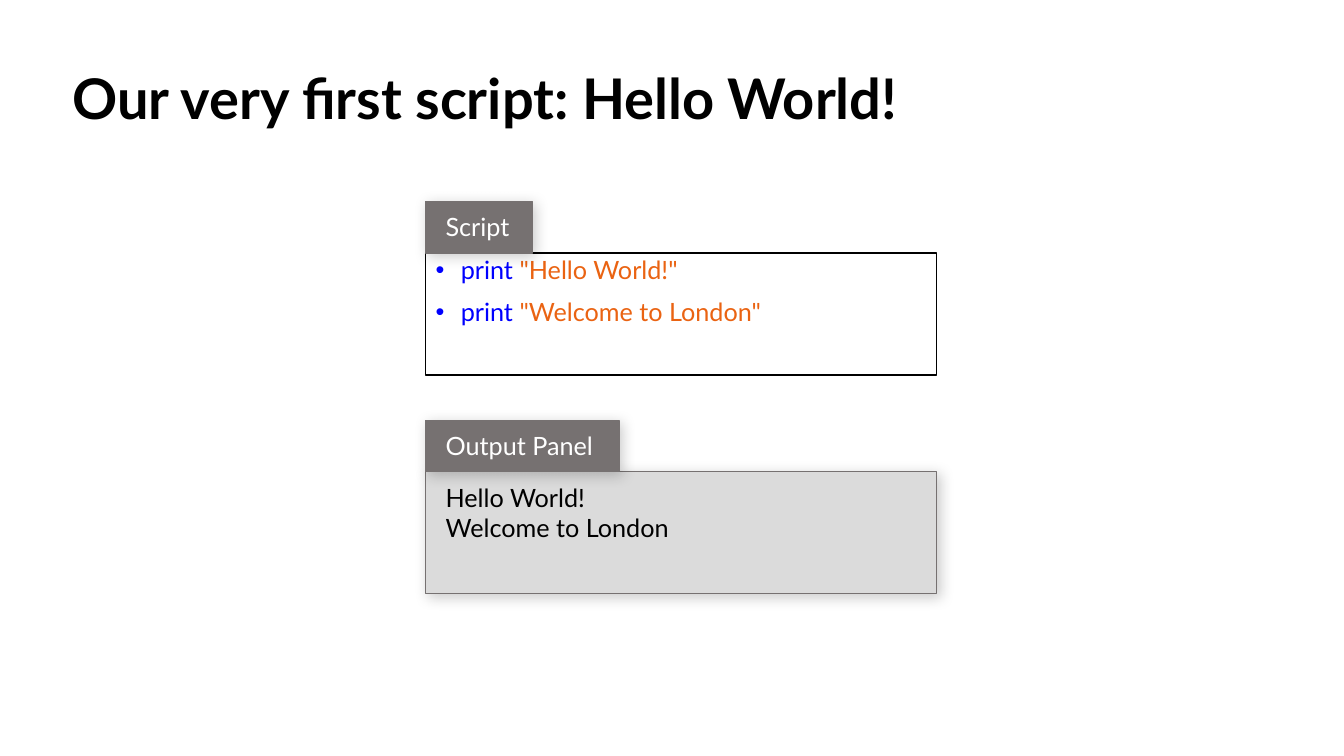
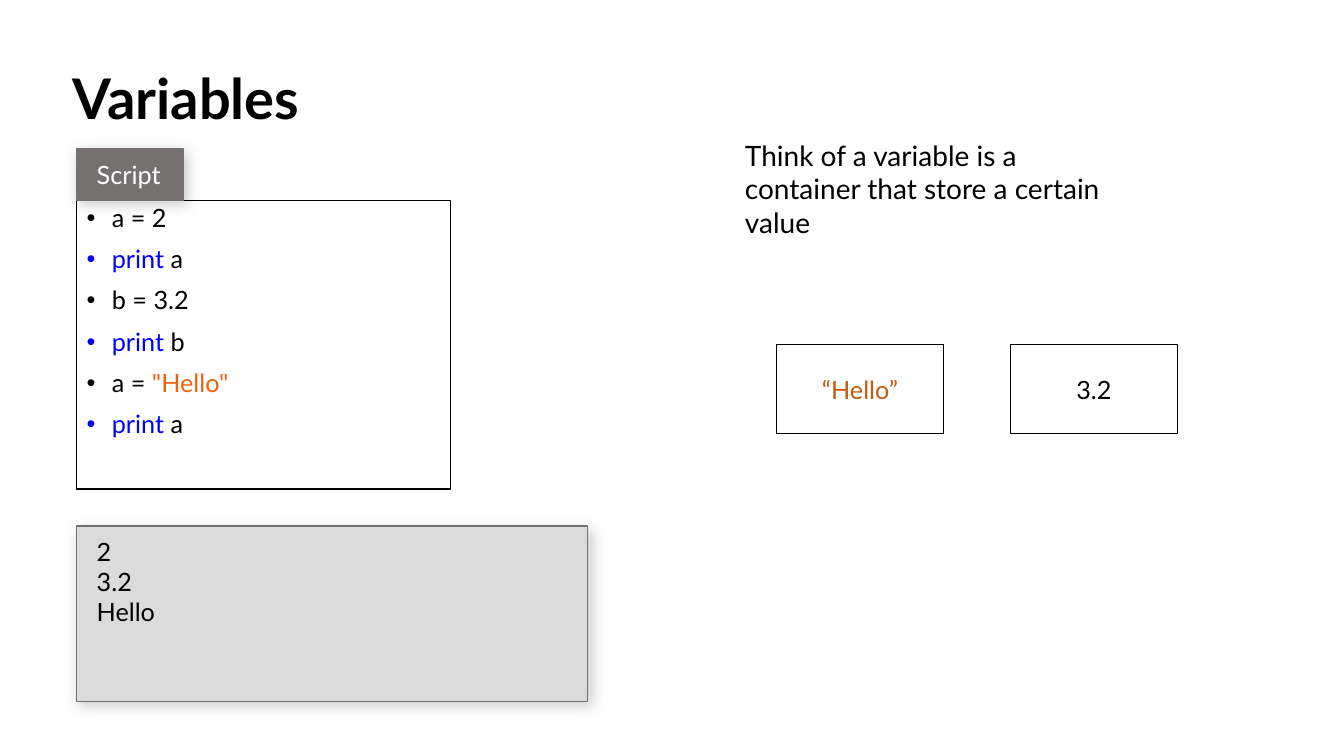
from pptx import Presentation
from pptx.dml.color import RGBColor
from pptx.enum.shapes import MSO_SHAPE
from pptx.enum.text import MSO_ANCHOR, MSO_AUTO_SIZE, PP_ALIGN
from pptx.oxml import parse_xml
from pptx.oxml.ns import nsdecls, qn
from pptx.util import Pt

RECT = MSO_SHAPE.RECTANGLE
TOP, MIDDLE = MSO_ANCHOR.TOP, MSO_ANCHOR.MIDDLE
LEFT, CENTER = PP_ALIGN.LEFT, PP_ALIGN.CENTER
FIXED = MSO_AUTO_SIZE.NONE

PX = 9144  # 100 px to the inch
FONT = "Lato"
COLORS = {
    "black": "000000",
    "white": "FFFFFF",
    "gray": "767171",
    "pale": "DBDBDB",
    "key": "0000FF",
    "string": "EA6312",
    "value": "C55A11",
}
TAB_H = 51
PANEL_W = 507
INSET = (10, 5)
WIDE = (20, 10)


def rgb(name):
    return RGBColor.from_string(COLORS[name])


def place(shape, box):
    shape.left, shape.top, shape.width, shape.height = (n * PX for n in box)


def add_bullet(para):
    props = para._p.get_or_add_pPr()
    props.set("marL", str(25 * PX))
    props.set("indent", str(-25 * PX))
    for tag in ('buFont %s typeface="Arial"', 'buChar %s char="•"'):
        props.append(parse_xml(f"<a:{tag % nsdecls('a')}/>"))


def write(shape, lines, size=18, color="black", bold=False, align=LEFT,
          anchor=TOP, inset=INSET, bullets=False):
    """Fill a shape with lines, each a string or a list of (text, color) runs."""
    frame = shape.text_frame
    frame.word_wrap = True
    frame.auto_size = FIXED
    frame.vertical_anchor = anchor
    frame.margin_left = frame.margin_right = inset[0] * PX
    frame.margin_top = frame.margin_bottom = inset[1] * PX
    for i, line in enumerate(lines):
        para = frame.add_paragraph() if i else frame.paragraphs[0]
        para.alignment = align
        para.space_before = Pt(10 if bullets and i else 0)
        if bullets:
            para.line_spacing = 0.9
            add_bullet(para)
        for text, tint in [(line, color)] if isinstance(line, str) else line:
            run = para.add_run()
            run.text = text
            font = run.font
            font.name, font.size, font.bold = FONT, Pt(size), bold
            font.color.rgb = rgb(tint)


def paint(shape, fill, line):
    if fill:
        shape.fill.solid()
        shape.fill.fore_color.rgb = rgb(fill)
    else:
        shape.fill.background()
    shape.line.color.rgb = rgb(line)
    shape.line.width = Pt(1)
    shape.shadow.inherit = False


def add_shadow(shape):
    effects = shape._element.spPr.find(qn("a:effectLst"))
    effects.append(parse_xml(
        f'<a:outerShdw {nsdecls("a")} blurRad="{Pt(10)}" dist="{Pt(3)}" '
        f'dir="2700000" algn="tl" rotWithShape="0">'
        f'<a:srgbClr val="{COLORS["black"]}"><a:alpha val="20000"/></a:srgbClr>'
        f'</a:outerShdw>'))


def add_box(slide, box, lines, fill=None, line="black", shadow=False, **style):
    shape = slide.shapes.add_shape(RECT, *(n * PX for n in box))
    paint(shape, fill, line)
    if shadow:
        add_shadow(shape)
    write(shape, lines, **style)


def add_tab(slide, left, bottom, width, label):
    """Label that sits on the upper left corner of a panel."""
    add_box(slide, (left, bottom - TAB_H, width, TAB_H), [label], fill="gray",
            line="gray", shadow=True, color="white", inset=WIDE)


def add_script(slide, box, lines):
    body = slide.placeholders[1]
    place(body, box)
    paint(body, "white", "black")
    write(body, lines, bullets=True)
    add_tab(slide, box[0], box[1], 106, "Script")


def add_output(slide, left, top, height, lines):
    add_box(slide, (left, top, PANEL_W, height), lines, fill="pale",
            line="gray", shadow=True, inset=WIDE)


def add_note(slide, box, text):
    note = slide.shapes.add_textbox(*(n * PX for n in box))
    write(note, [text], size=20)


def add_slide(deck, title):
    slide = deck.slides.add_slide(deck.slide_layouts[1])
    place(slide.shapes.title, (62, 58, 1210, 77))
    write(slide.shapes.title, [title], size=40, bold=True)
    return slide


def show(name):
    return [("print ", "key"), (name, "black")]


def build_hello(deck):
    slide = add_slide(deck, "Our very first script: Hello World!")
    left, top, height = 422, 468, 121
    words = ["Hello World!", "Welcome to London"]
    add_script(slide, (left, 251, PANEL_W, height),
               [[("print ", "key"), (f'"{word}"', "string")] for word in words])
    add_output(slide, left, top, height, words)
    add_tab(slide, left, top, 192, "Output Panel")


def build_vars(deck):
    slide = add_slide(deck, "Variables")
    left = 76
    add_script(slide, (left, 199, 371, 286), [
        "a = 2", show("a"),
        "b = 3.2", show("b"),
        [("a = ", "black"), ('"Hello"', "string")], show("a"),
    ])
    add_output(slide, left, 522, 174, ["2", "3.2", "Hello"])
    add_note(slide, (729, 132, 399, 111),
             "Think of a variable is a container that store a certain value")
    for i, (text, tint) in enumerate([("“Hello”", "value"), ("3.2", "black")]):
        add_box(slide, (770 + i * 232, 342, 166, 88), [text], color=tint,
                align=CENTER, anchor=MIDDLE)


def main():
    deck = Presentation()
    deck.slide_width, deck.slide_height = 1333 * PX, 750 * PX
    build_hello(deck)
    build_vars(deck)
    deck.save("out.pptx")


if __name__ == "__main__":
    main()
